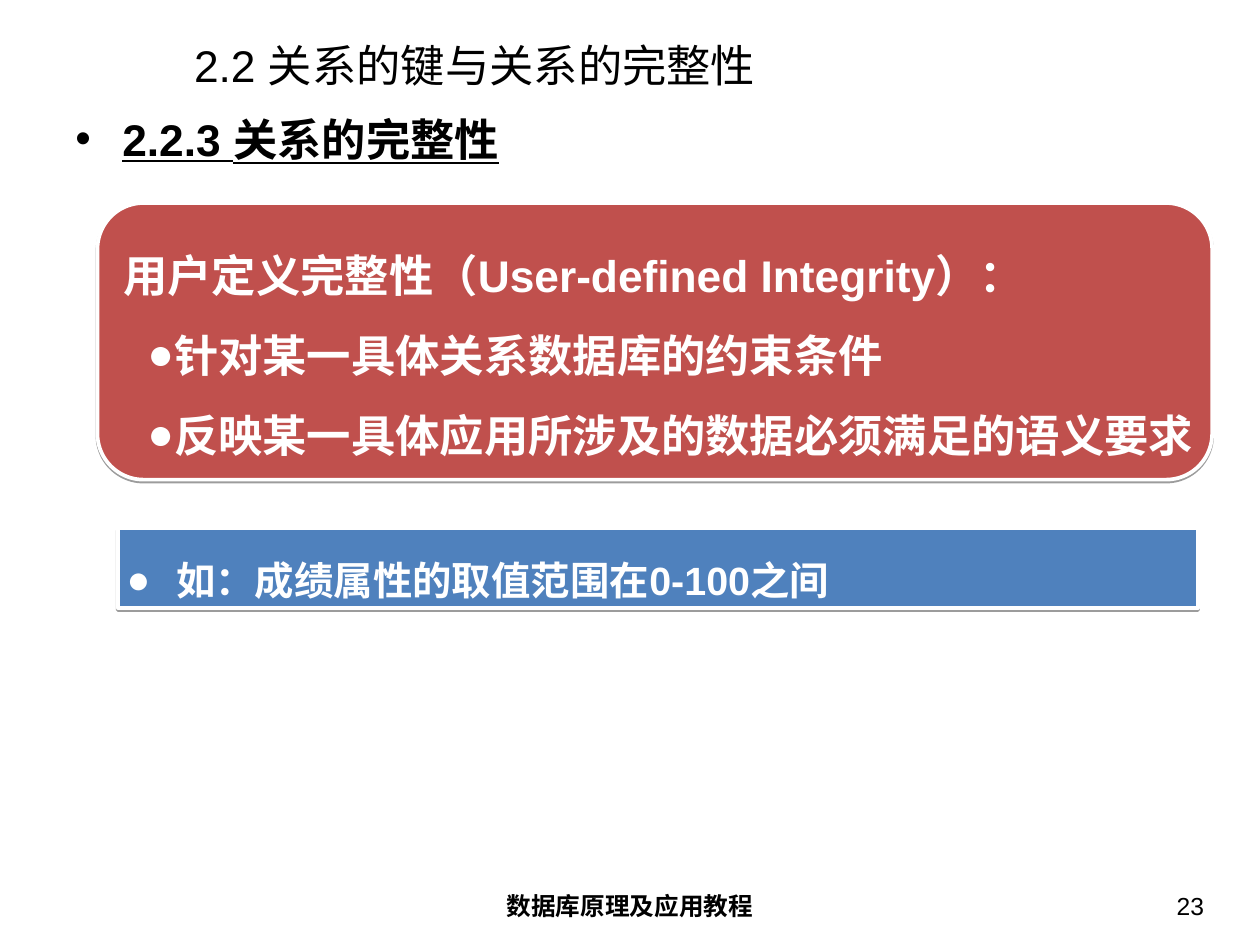
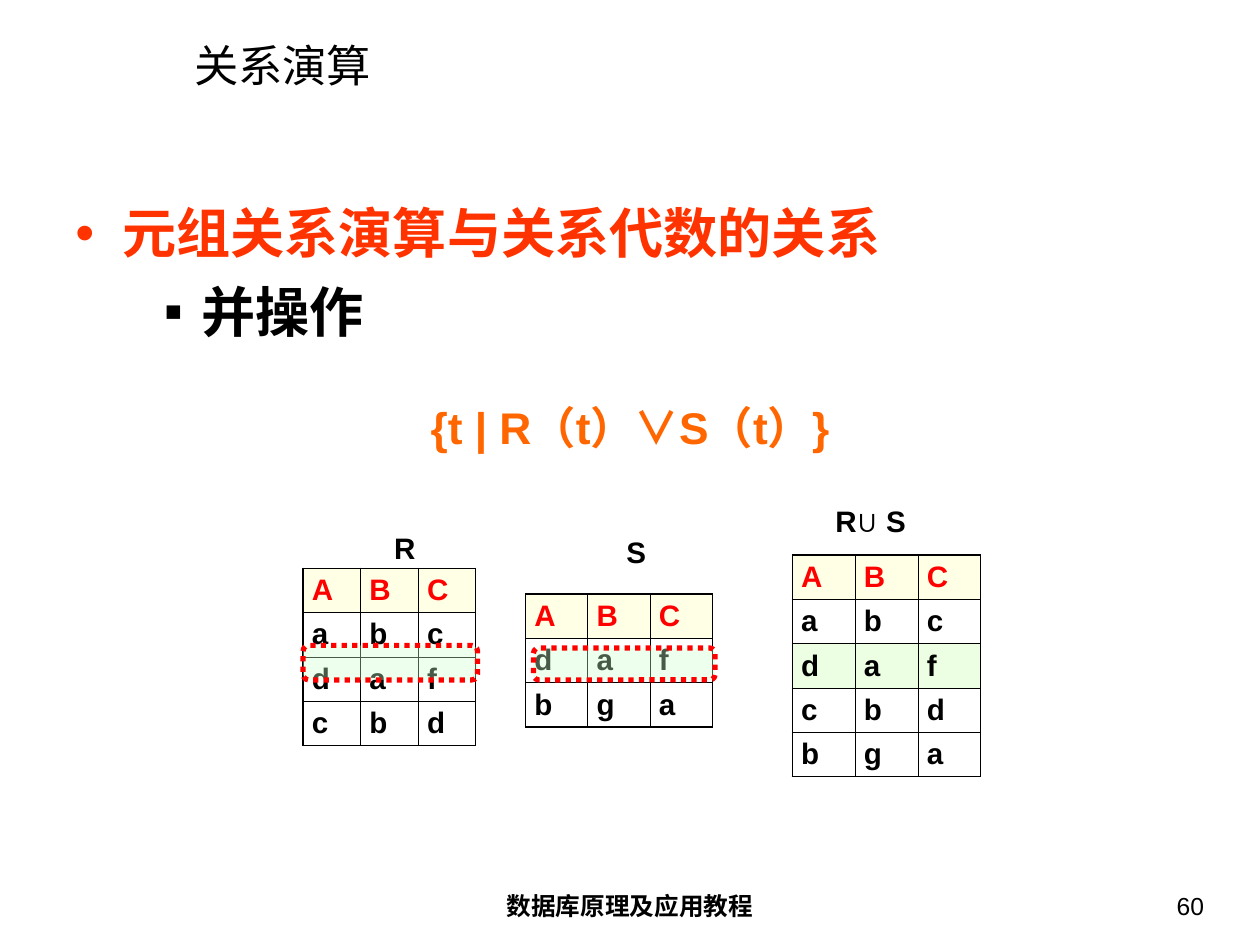
import pptx
import pptx.dml.color
import pptx.enum.dml
import pptx.enum.shapes
import pptx.enum.text
import pptx.oxml
import pptx.oxml.ns
import pptx.util
from lxml import etree
from pptx.util import Inches

FONT = "Arial"
COLORS = {
    "text": "000000", "white": "FFFFFF", "definition": "C0504D", "example": "4F81BD",
    "heading": "FF3300", "formula": "FF6600", "column": "FF0000", "header": "FFFFCC",
    "shared": "DAFFC7", "marker": "CCFFCC",
}
PADDING = (0.14, 0.07)
LEFT = pptx.enum.text.PP_ALIGN.LEFT
CENTER = pptx.enum.text.PP_ALIGN.CENTER
RIGHT = pptx.enum.text.PP_ALIGN.RIGHT
MIDDLE = pptx.enum.text.MSO_ANCHOR.MIDDLE
TOP = pptx.enum.text.MSO_ANCHOR.TOP
RECTANGLE = pptx.enum.shapes.MSO_SHAPE.RECTANGLE
ROUNDED = pptx.enum.shapes.MSO_SHAPE.ROUNDED_RECTANGLE
ROW_HEIGHT = 0.5


def rgb(name):
    return pptx.dml.color.RGBColor.from_string(COLORS[name])


def add_child(parent, tag, **attributes):
    return etree.SubElement(parent, pptx.oxml.ns.qn(tag),
                            {key: str(value) for key, value in attributes.items()})


def fill_solid(fill, color, opacity=100):
    fill.solid()
    fill.fore_color.rgb = rgb(color)
    if opacity < 100:
        tint = fill._xPr.find(".//" + pptx.oxml.ns.qn("a:srgbClr"))
        add_child(tint, "a:alpha", val=opacity * 1000)


def prepare_frame(frame, padding=PADDING, anchor=TOP, wrap=True):
    frame.auto_size = pptx.enum.text.MSO_AUTO_SIZE.NONE
    frame.word_wrap = wrap
    frame.vertical_anchor = anchor
    frame.margin_left = frame.margin_right = Inches(padding[0])
    frame.margin_top = frame.margin_bottom = Inches(padding[1])


def style_paragraph(paragraph, size, color="text", bold=False, align=LEFT,
                    spacing=1, before=0, after=0):
    paragraph.alignment = align
    paragraph.line_spacing = spacing
    paragraph.space_before = pptx.util.Pt(before)
    paragraph.space_after = pptx.util.Pt(after)
    paragraph.font.name = FONT
    paragraph.font.size = pptx.util.Pt(size)
    paragraph.font.bold = bold
    paragraph.font.color.rgb = rgb(color)


def set_bullet(paragraph, symbol, color, margin, indent):
    """Give the paragraph its indents and a bullet; no symbol means no bullet."""
    properties = paragraph._p.get_or_add_pPr()
    properties.set("marL", str(Inches(margin)))
    properties.set("indent", str(Inches(indent)))
    if symbol:
        bullet = [etree.Element(pptx.oxml.ns.qn("a:buClr")),
                  etree.Element(pptx.oxml.ns.qn("a:buFont"), typeface=FONT),
                  etree.Element(pptx.oxml.ns.qn("a:buChar"), char=symbol)]
        add_child(bullet[0], "a:srgbClr", val=COLORS[color])
    else:
        bullet = [etree.Element(pptx.oxml.ns.qn("a:buNone"))]
    default_font = properties.find(pptx.oxml.ns.qn("a:defRPr"))
    for part in bullet:
        default_font.addprevious(part)


def write_lines(frame, lines):
    """Write (text, style, bullet) lines, one paragraph each."""
    for index, (text, style, bullet) in enumerate(lines):
        paragraph = frame.add_paragraph() if index else frame.paragraphs[0]
        paragraph.text = text
        style_paragraph(paragraph, **style)
        if bullet:
            set_bullet(paragraph, *bullet)


def place(shape, left, top, width, height):
    shape.left, shape.top = Inches(left), Inches(top)
    shape.width, shape.height = Inches(width), Inches(height)


def add_text(slide, box, runs, padding=(0.1, 0.05), **style):
    """Add a text box with one paragraph made of the given runs."""
    frame = slide.shapes.add_textbox(*map(Inches, box)).text_frame
    prepare_frame(frame, padding)
    for text in runs:
        frame.paragraphs[0].add_run().text = text
    style_paragraph(frame.paragraphs[0], **style)
    return frame.paragraphs[0]


def add_lesson_slide(deck, title, number, body_box, body_lines):
    slide = deck.slides.add_slide(deck.slide_layouts[1])
    heading, body = slide.placeholders
    place(heading, 2.05, 0.45, 11.83, 0.57)
    prepare_frame(heading.text_frame, anchor=MIDDLE)
    write_lines(heading.text_frame, [(title, dict(size=36), None)])
    place(body, *body_box)
    prepare_frame(body.text_frame)
    write_lines(body.text_frame, body_lines)
    add_text(slide, (4.86, 9.98, 4.5, 0.55), ["数据库原理及应用教程"], PADDING,
             size=20, bold=True, align=CENTER)
    add_text(slide, (10.41, 9.98, 3.32, 0.55), [number], PADDING, size=20, align=RIGHT)
    return slide


def add_panel(slide, kind, box, color, lines, padding, anchor, wrap):
    """Add a filled box with a white edge and a soft lower shadow."""
    panel = slide.shapes.add_shape(kind, *map(Inches, box))
    fill_solid(panel.fill, color)
    panel.line.color.rgb = rgb("white")
    panel.line.width = pptx.util.Pt(3)
    panel.shadow.inherit = False
    effects = panel._element.spPr.find(pptx.oxml.ns.qn("a:effectLst"))
    shadow = add_child(effects, "a:outerShdw", dist=pptx.util.Pt(1.6), dir=5400000,
                       rotWithShape=0)
    add_child(add_child(shadow, "a:srgbClr", val=COLORS["text"]), "a:alpha", val=38000)
    prepare_frame(panel.text_frame, padding, anchor, wrap)
    write_lines(panel.text_frame, lines)


def set_borders(cell, outer_sides):
    """Draw the cell's four borders, thicker on the table's outer sides."""
    properties = cell._tc.get_or_add_tcPr()
    for position, side in enumerate("LRTB"):
        width = pptx.util.Pt(1.08 if side in outer_sides else 0.45)
        border = etree.Element(pptx.oxml.ns.qn("a:ln" + side), w=str(width))
        add_child(add_child(border, "a:solidFill"), "a:srgbClr", val=COLORS["text"])
        properties.insert(position, border)


def add_relation(slide, left, top, width, tuples, shared=None):
    """Add a relation with columns A, B, C; the row numbered shared is tinted."""
    rows = ["ABC", *tuples]
    table = slide.shapes.add_table(len(rows), 3, Inches(left), Inches(top), Inches(width),
                                   Inches(ROW_HEIGHT * len(rows))).table
    table.first_row = table.horz_banding = False
    for r, values in enumerate(rows):
        for c, value in enumerate(values):
            cell = table.cell(r, c)
            cell.vertical_anchor = MIDDLE
            cell.text = value
            style_paragraph(cell.text_frame.paragraphs[0], 24,
                            "text" if r else "column", bold=True)
            if r == 0:
                fill_solid(cell.fill, "header", 50)
            elif r == shared:
                fill_solid(cell.fill, "shared", 50)
            else:
                cell.fill.background()
            outer = {"L": c == 0, "R": c == 2, "T": r == 0, "B": r == len(rows) - 1}
            set_borders(cell, [side for side in outer if outer[side]])


def add_marker(slide, box):
    marker = slide.shapes.add_shape(ROUNDED, *map(Inches, box))
    marker.shadow.inherit = False
    fill_solid(marker.fill, "marker", 35)
    marker.line.color.rgb = rgb("column")
    marker.line.width = pptx.util.Pt(4.25)
    marker.line.dash_style = pptx.enum.dml.MSO_LINE.ROUND_DOT


def build_integrity_slide(deck):
    topic = dict(size=36, bold=True, before=9)
    slide = add_lesson_slide(
        deck, "2.2 关系的键与关系的完整性", "23", (0.71, 1.19, 12.8, 0.89),
        [("2.2.3 关系的完整性", topic, ("•", "text", 0.53, -0.53))])
    slide.placeholders[1].text_frame.paragraphs[0].font.underline = True

    definition = dict(size=36, color="white", bold=True, spacing=1.5)
    point = ("●", "white", 0.27, 0)
    add_panel(slide, ROUNDED, (1.1, 2.29, 12.58, 3.12), "definition", [
        ("用户定义完整性（User-defined Integrity）：", definition, None),
        ("针对某一具体关系数据库的约束条件", definition, point),
        ("反映某一具体应用所涉及的数据必须满足的语义要求", definition, point),
    ], PADDING, MIDDLE, wrap=False)
    add_panel(slide, RECTANGLE, (1.33, 5.96, 12.19, 0.9), "example", [
        ("如：成绩属性的取值范围在0-100之间", {**definition, "size": 32},
         ("●", "white", 0.56, -0.56)),
    ], (0.1, 0.05), TOP, wrap=True)


def build_union_slide(deck):
    topic = dict(size=44, bold=True, before=11)
    slide = add_lesson_slide(deck, "关系演算", "60", (0.71, 1.45, 12.8, 8.21), [
        ("元组关系演算与关系代数的关系", dict(topic, color="heading", spacing=2),
         ("•", "heading", 0.53, -0.53)),
        ("并操作", dict(topic, after=11), ("▪", "text", 1.42, -0.42)),
        ("{t | R（t）∨S（t）}",
         dict(size=36, color="formula", bold=True, align=CENTER, spacing=1.6, before=9),
         (None, None, 0.53, -0.53)),
    ])
    label = dict(size=24, bold=True)
    add_text(slide, (4.35, 5.93, 0.5, 0.5), ["R"], **label)
    add_text(slide, (6.97, 5.97, 0.5, 0.5), ["S"], **label)
    union = add_text(slide, (9.33, 5.63, 1.36, 0.5), ["R", "∪ ", "S"], **label)
    union.runs[1].font.bold = False

    add_relation(slide, 5.93, 6.7, 2.11, ["daf", "bga"])
    add_relation(slide, 8.94, 6.26, 2.13, ["abc", "daf", "cbd", "bga"], shared=2)
    add_relation(slide, 3.42, 6.41, 1.95, ["abc", "daf", "cbd"])
    add_marker(slide, (3.42, 7.28, 1.97, 0.39))
    add_marker(slide, (6.02, 7.31, 2.05, 0.36))


def main():
    deck = pptx.Presentation()
    deck.slide_width, deck.slide_height = Inches(14.22), Inches(10.66)
    build_integrity_slide(deck)
    build_union_slide(deck)
    deck.save("out.pptx")


if __name__ == "__main__":
    main()
